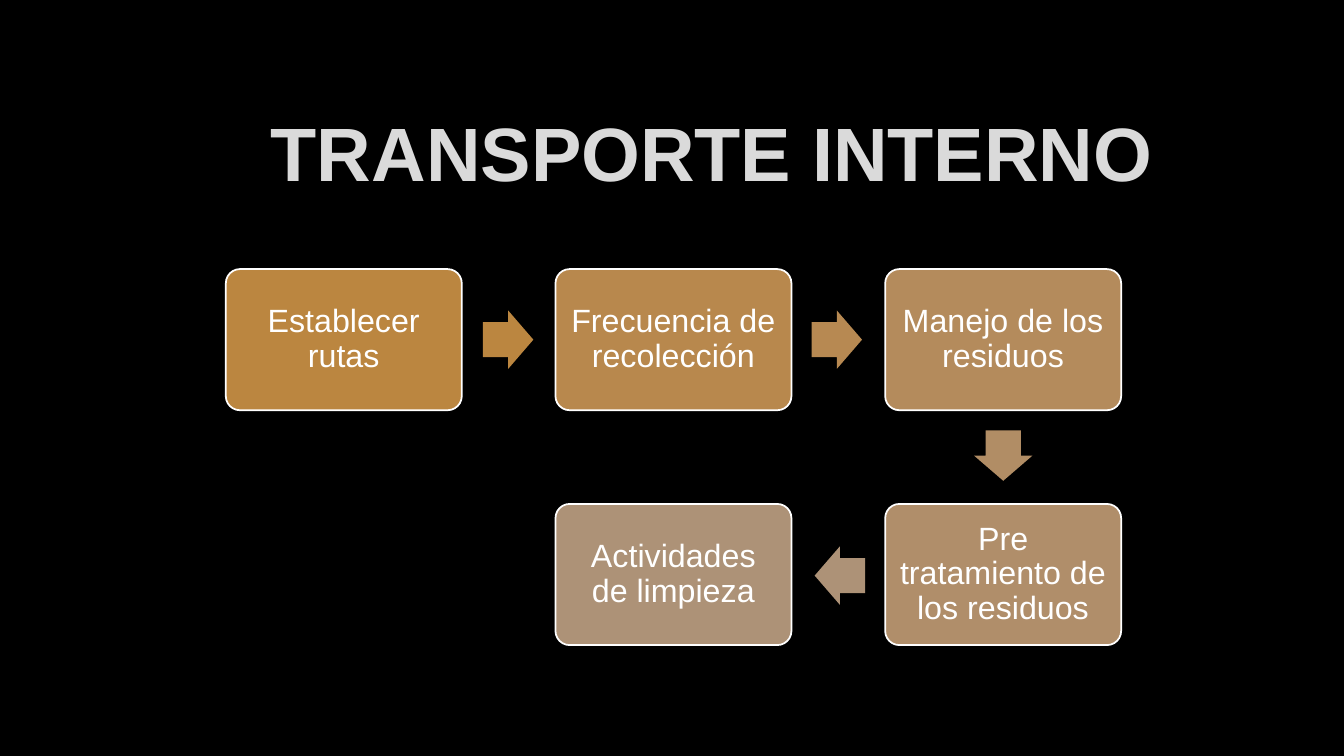
import pptx
import pptx.dml.color
import pptx.enum.shapes
import pptx.enum.text
import pptx.util

Inches = pptx.util.Inches
SHAPES = pptx.enum.shapes.MSO_SHAPE

STEP_WIDTH, STEP_HEIGHT = 2.34, 1.4
ARROW_WIDTH, ARROW_HEIGHT = 0.5, 0.58
LEFT, TOP = 2.24, 2.67
COLUMN_PITCH, ROW_PITCH = 3.27, 2.33

# text, column, row, fill
STEPS = [
    ("Establecer rutas", 0, 0, "BB8640"),
    ("Frecuencia de recolección", 1, 0, "B8884D"),
    ("Manejo de los residuos", 2, 0, "B48B5C"),
    ("Pre tratamiento de los residuos", 2, 1, "B08E6A"),
    ("Actividades de limpieza", 1, 1, "AD9277"),
]

# left, top, rotation, fill
ARROWS = [
    (4.79, 3.08, 0, "BB8640"),
    (8.05, 3.08, 0, "B78952"),
    (9.7, 4.23, 90, "B18D65"),
    (8.08, 5.42, 180, "AD9277"),
]


def color(value):
    return pptx.dml.color.RGBColor.from_string(value)


def write_text(shape, text, size, font_color, bold=False):
    """Write one centred paragraph, in the middle of the shape."""
    frame = shape.text_frame
    frame.text = text
    frame.word_wrap = True
    frame.vertical_anchor = pptx.enum.text.MSO_ANCHOR.MIDDLE
    para = frame.paragraphs[0]
    para.alignment = pptx.enum.text.PP_ALIGN.CENTER
    font = para.runs[0].font
    font.name = "Arial"
    font.size = pptx.util.Pt(size)
    font.bold = bold
    font.color.rgb = color(font_color)


def add_filled_shape(slide, kind, left, top, width, height, fill):
    shape = slide.shapes.add_shape(
        kind, Inches(left), Inches(top), Inches(width), Inches(height))
    shape.shadow.inherit = False
    shape.fill.solid()
    shape.fill.fore_color.rgb = color(fill)
    return shape


def add_title(slide, text):
    box = slide.shapes.add_textbox(
        Inches(1.4), Inches(0.97), Inches(11.32), Inches(1.06))
    write_text(box, text, 54, "DADADA", bold=True)


def add_step(slide, text, column, row, fill):
    box = add_filled_shape(
        slide, SHAPES.ROUNDED_RECTANGLE,
        LEFT + column * COLUMN_PITCH, TOP + row * ROW_PITCH,
        STEP_WIDTH, STEP_HEIGHT, fill)
    box.adjustments[0] = 0.1
    box.line.color.rgb = color("FFFFFF")
    box.line.width = pptx.util.Pt(1.25)
    write_text(box, text, 23, "FFFFFF")
    frame = box.text_frame
    frame.margin_left = frame.margin_right = Inches(0.1)
    frame.margin_top = frame.margin_bottom = Inches(0.1)
    frame.paragraphs[0].line_spacing = 0.9


def add_arrow(slide, left, top, rotation, fill):
    arrow = add_filled_shape(
        slide, SHAPES.RIGHT_ARROW, left, top, ARROW_WIDTH, ARROW_HEIGHT, fill)
    arrow.adjustments[0] = 0.6
    arrow.adjustments[1] = 0.5
    arrow.line.fill.background()
    arrow.rotation = rotation


def main():
    deck = pptx.Presentation()
    deck.slide_width = Inches(13.33)
    deck.slide_height = Inches(7.5)
    slide = deck.slides.add_slide(deck.slide_layouts[6])
    slide.background.fill.solid()
    slide.background.fill.fore_color.rgb = color("000000")

    add_title(slide, "TRANSPORTE INTERNO")
    for step in STEPS:
        add_step(slide, *step)
    for arrow in ARROWS:
        add_arrow(slide, *arrow)
    deck.save("out.pptx")


if __name__ == "__main__":
    main()
